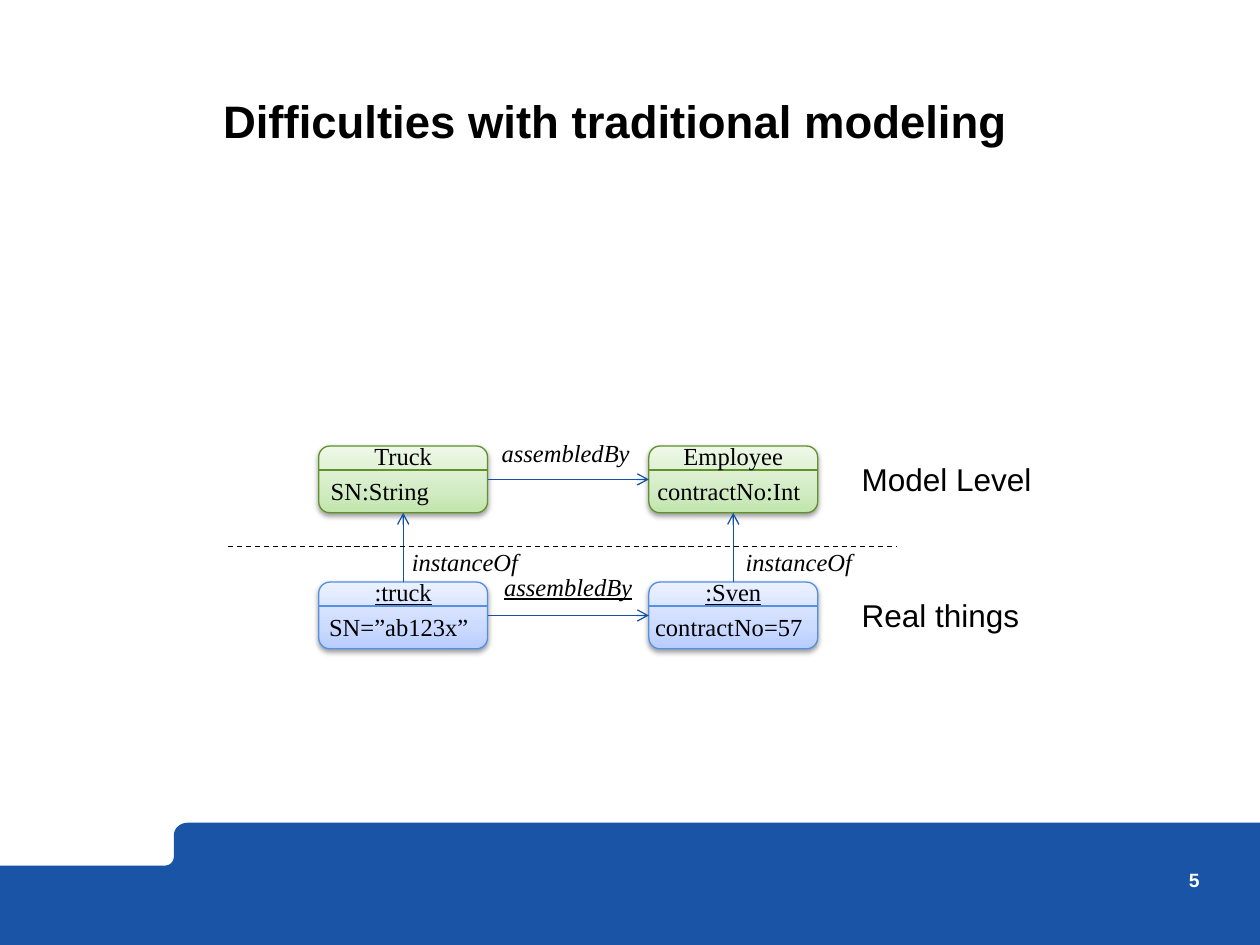
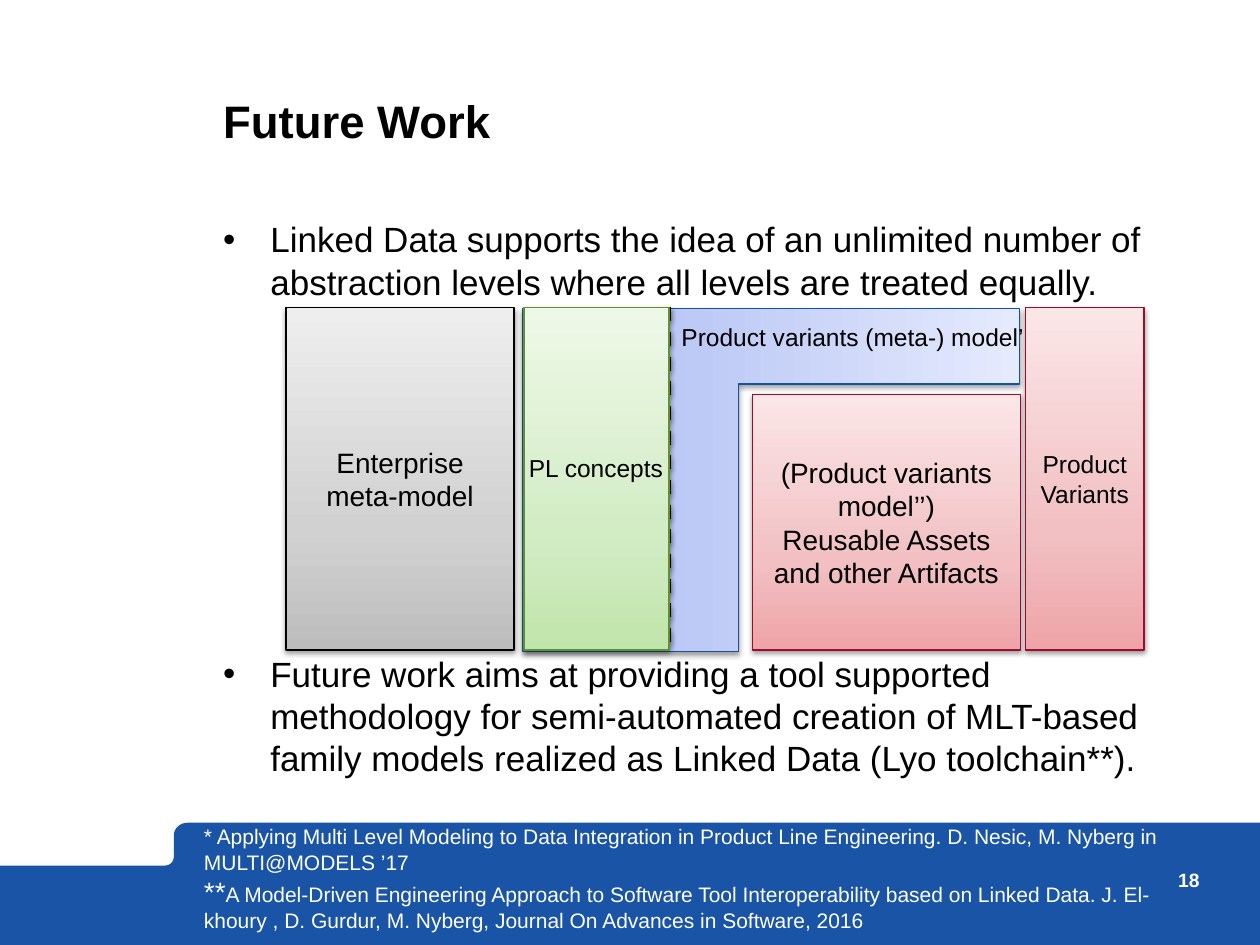
"""Build two slides on multi-level modeling: a class diagram and the future work."""
from dataclasses import dataclass
from math import cos, pi, sin

from lxml.etree import SubElement
from pptx import Presentation
from pptx.dml.color import RGBColor as RGB
from pptx.enum.dml import MSO_LINE
from pptx.enum.shapes import MSO_CONNECTOR, MSO_SHAPE
from pptx.enum.text import MSO_ANCHOR, MSO_AUTO_SIZE, PP_ALIGN
from pptx.oxml import parse_xml
from pptx.oxml.ns import nsdecls, qn
from pptx.util import Inches, Pt


@dataclass(frozen=True)
class Theme:
    sans: str = "Arial"
    serif: str = "Times New Roman"
    black: str = "000000"
    white: str = "FFFFFF"
    band: str = "1954A6"
    arrow: str = "1552A6"
    blue_line: str = "538FE3"
    green_line: str = "60912B"
    red_line: str = "9D0C2A"
    sky: tuple = ("B7CDFF", "CCDBFF", "EBF1FF")
    green: tuple = ("C0E5AB", "D3ECC5", "EEF8E8")
    grey: tuple = ("BDBDBD", "D1D1D1", "EEEEEE")
    red: tuple = ("EEA4A8", "F2C0C3", "FBE6E7")
    violet: tuple = ("A2B3F4", "BECAF6", "E5EAFD")
    title: int = 26
    body: int = 20
    level: int = 18
    block: int = 16
    label: int = 14
    note: int = 12
    number: int = 11


T = Theme()


def write(tf, text, size=T.label, font=T.sans, color=T.black, bold=False, italic=False,
          underline=False, align=PP_ALIGN.LEFT, spacing=None, before=None, join=False):
    """Add text as a new paragraph, or join it to the last one."""
    tf.word_wrap = True
    p = tf.paragraphs[-1]
    if p.runs and not join:
        p = tf.add_paragraph()
    p.alignment = align
    if spacing:
        p.line_spacing = Pt(spacing)
    if before is not None:
        p.space_before = Pt(before)
    r = p.add_run()
    r.text = text
    r.font.name, r.font.size = font, Pt(size)
    r.font.bold, r.font.italic, r.font.underline = bold, italic, underline
    r.font.color.rgb = RGB.from_string(color)


def finish(sp, color, width=0.75, stops=None, dash=None, arrow=False, shadow=False):
    """Set gradient fill, line, arrowhead and shadow of a shape or connector."""
    spPr = sp._element.spPr
    if stops:
        gs = "".join(f'<a:gs pos="{pos}"><a:srgbClr val="{c}"/></a:gs>'
                     for pos, c in zip((0, 35000, 100000), stops))
        spPr.append(parse_xml(f'<a:gradFill {nsdecls("a")} rotWithShape="1"><a:gsLst>{gs}</a:gsLst>'
                              '<a:lin ang="16200000" scaled="0"/></a:gradFill>'))
    sp.line.color.rgb = RGB.from_string(color)
    sp.line.width = Pt(width)
    if dash:
        sp.line.dash_style = dash
    if arrow:
        SubElement(spPr.find(qn("a:ln")), qn("a:tailEnd"), type="arrow")
    effects = SubElement(spPr, qn("a:effectLst"))
    if shadow:
        effects.append(parse_xml(
            f'<a:outerShdw {nsdecls("a")} blurRad="{Pt(3.1)}" dist="{Pt(1.6)}" dir="5400000" '
            'rotWithShape="0"><a:srgbClr val="000000"><a:alpha val="38000"/></a:srgbClr></a:outerShdw>'))


prs = Presentation()
prs.slide_width, prs.slide_height = Inches(10), Inches(7.5)
diagram = prs.slides.add_slide(prs.slide_layouts[5])
future = prs.slides.add_slide(prs.slide_layouts[1])

STEPS = [pi / 2 * i / 8 for i in range(9)]
outline = [(10, 6.53), (10, 7.5), (0, 7.5), (0, 6.87)]
outline += [(1.31 + 0.07 * sin(a), 6.8 + 0.07 * cos(a)) for a in STEPS]
outline += [(1.49 - 0.11 * cos(a), 6.63 - 0.1 * sin(a)) for a in STEPS]
builder = diagram.shapes.build_freeform(Inches(1.49), Inches(6.53))
builder.add_line_segments([(Inches(x), Inches(y)) for x, y in outline])
band = builder.convert_to_shape()
band.shadow.inherit = False
band.fill.solid()
band.fill.fore_color.rgb = RGB.from_string(T.band)
band.line.fill.background()
band._element.nvSpPr.cNvPr.id = 100
prs.slide_master.shapes._spTree.insert(2, band._element)

serif = dict(font=T.serif)
centred = dict(font=T.serif, align=PP_ALIGN.CENTER)
diagram_labels = [
    (6.74, 4.68, 1.49, "Real things", dict(size=T.level)),
    (6.74, 3.6, 1.63, "Model Level", dict(size=T.level)),
    (5.82, 4.29, 1.1, "instanceOf", dict(serif, italic=True)),
    (3.17, 4.29, 1.1, "instanceOf", dict(serif, italic=True)),
    (3.87, 3.43, 1.24, "assembledBy", dict(centred, italic=True)),
    (3.89, 4.49, 1.24, "assembledBy", dict(centred, italic=True, underline=True)),
]

BOX_W, BOX_H = 1.34, 0.53
classes = [
    ("truck", 2.53, 4.62, ":truck", "SN=”ab123x”", -0.07),
    ("sven", 5.15, 4.62, ":Sven", "contractNo=57", -0.07),
    ("Truck", 2.53, 3.54, "Truck", "SN:String", -0.22),
    ("Employee", 5.15, 3.54, "Employee", "contractNo:Int", -0.07),
]
boxes = {}
for key, x, y, name, attribute, shift in classes:
    instance = name.startswith(":")
    color, stops = (T.blue_line, T.sky) if instance else (T.green_line, T.green)
    sp = diagram.shapes.add_shape(MSO_SHAPE.ROUNDED_RECTANGLE, Inches(x), Inches(y),
                                  Inches(BOX_W), Inches(BOX_H))
    finish(sp, color, stops=stops, shadow=True)
    boxes[key] = sp
    divider = diagram.shapes.add_connector(MSO_CONNECTOR.STRAIGHT, Inches(x), Inches(y + 0.19),
                                           Inches(x + BOX_W), Inches(y + 0.19))
    finish(divider, color)
    diagram_labels += [
        (x + 0.12, y - 0.09, 1.1, name, dict(centred, underline=instance)),
        (x + shift, y + 0.19, 1.41, attribute, centred),
    ]

TOP, LEFT, BOTTOM, RIGHT = range(4)
for start, start_site, end, end_site in [
    ("truck", TOP, "Truck", BOTTOM),
    ("sven", TOP, "Employee", BOTTOM),
    ("Truck", RIGHT, "Employee", LEFT),
    ("truck", RIGHT, "sven", LEFT),
]:
    relation = diagram.shapes.add_connector(MSO_CONNECTOR.STRAIGHT, 0, 0, 0, 0)
    relation.begin_connect(boxes[start], start_site)
    relation.end_connect(boxes[end], end_site)
    finish(relation, T.arrow, arrow=True)

level_line = diagram.shapes.add_connector(MSO_CONNECTOR.STRAIGHT, Inches(1.81), Inches(4.34),
                                          Inches(7.12), Inches(4.34))
finish(level_line, T.black, dash=MSO_LINE.DASH)

body = future.placeholders[1]
body.left, body.top, body.width, body.height = map(Inches, (1.77, 1.73, 7.59, 4.71))
tf = body.text_frame
tf.auto_size = MSO_AUTO_SIZE.NONE
tf.margin_left = tf.margin_right = tf.margin_top = tf.margin_bottom = 0
for before, text in [
    (4, "Linked Data supports the idea of an unlimited number of abstraction levels "
        "where all levels are treated equally."),
    (200, "Future work aims at providing a tool supported methodology for semi-automated "
          "creation of MLT-based family models realized as Linked Data (Lyo toolchain**)."),
]:
    write(tf, text, size=T.body, spacing=24, before=before)

BLOCK_TOP, BLOCK_H = 2.44, 2.72
variants_model = future.shapes.add_shape(MSO_SHAPE.CORNER, Inches(4.76), Inches(1.84),
                                         Inches(BLOCK_H), Inches(3.94))
variants_model.rotation = 90
variants_model.adjustments[0], variants_model.adjustments[1] = 0.63, 0.22
finish(variants_model, T.arrow, stops=T.violet, shadow=True)

border = future.shapes.add_connector(MSO_CONNECTOR.STRAIGHT, Inches(5.31), Inches(BLOCK_TOP),
                                     Inches(5.31), Inches(BLOCK_TOP + BLOCK_H))
finish(border, T.black, width=2, dash=MSO_LINE.DASH, shadow=True)

for x, y, w, color, stops, size, lines in [
    (2.27, BLOCK_TOP, 1.81, T.black, T.grey, T.block, ["Enterprise meta-model"]),
    (8.14, BLOCK_TOP, 0.94, T.red_line, T.red, T.label, ["Product Variants"]),
    (5.97, 3.13, 2.13, T.red_line, T.red, T.block,
     ["(Product variants model’’)", "Reusable Assets and other Artifacts"]),
    (4.16, BLOCK_TOP, 1.15, T.green_line, T.green, T.label, []),
]:
    block = future.shapes.add_shape(MSO_SHAPE.RECTANGLE, Inches(x), Inches(y), Inches(w),
                                    Inches(BLOCK_TOP + BLOCK_H - y))
    finish(block, color, stops=stops, shadow=True)
    for line in lines:
        write(block.text_frame, line, size=size, align=PP_ALIGN.CENTER)

future_labels = [
    (5.31, 2.51, 2.99, "Product variants (meta-) model’", {}),
    (4.07, 3.55, 1.32, "PL concepts", dict(align=PP_ALIGN.CENTER)),
]

note = future.shapes.add_textbox(Inches(1.52), Inches(6.49), Inches(7.91), Inches(0.98)).text_frame
write(note, "* Applying Multi Level Modeling to Data Integration in Product Line Engineering. "
            "D. Nesic, M. Nyberg in MULTI@MODELS ’17", size=T.note, color=T.white)
write(note, "**", size=T.block, color=T.white)
write(note, "A Model-Driven Engineering Approach to Software Tool Interoperability based on "
            "Linked Data. J. El-khoury , D. Gurdur, M. Nyberg, Journal On Advances in Software, 2016",
      size=T.note, color=T.white, join=True)

for s, heading, number, labels in [
    (diagram, "Difficulties with traditional modeling", "5", diagram_labels),
    (future, "Future Work", "18", future_labels),
]:
    title = s.shapes.title
    title.left, title.top, title.width, title.height = map(Inches, (1.77, 0.44, 7.59, 0.73))
    page = s.shapes.add_textbox(Inches(8.94), Inches(6.89), Inches(0.58), Inches(0.4))
    for tf in (title.text_frame, page.text_frame):
        tf.margin_left = tf.margin_right = tf.margin_top = tf.margin_bottom = 0
    title.text_frame.auto_size = MSO_AUTO_SIZE.NONE
    title.text_frame.vertical_anchor = MSO_ANCHOR.BOTTOM
    write(title.text_frame, heading, size=T.title, bold=True, spacing=30)
    write(page.text_frame, number, size=T.number, color=T.white, bold=True, align=PP_ALIGN.RIGHT)
    for x, y, w, text, style in labels:
        label = s.shapes.add_textbox(Inches(x), Inches(y), Inches(w), Inches(0.34))
        write(label.text_frame, text, **style)

prs.save("out.pptx")
